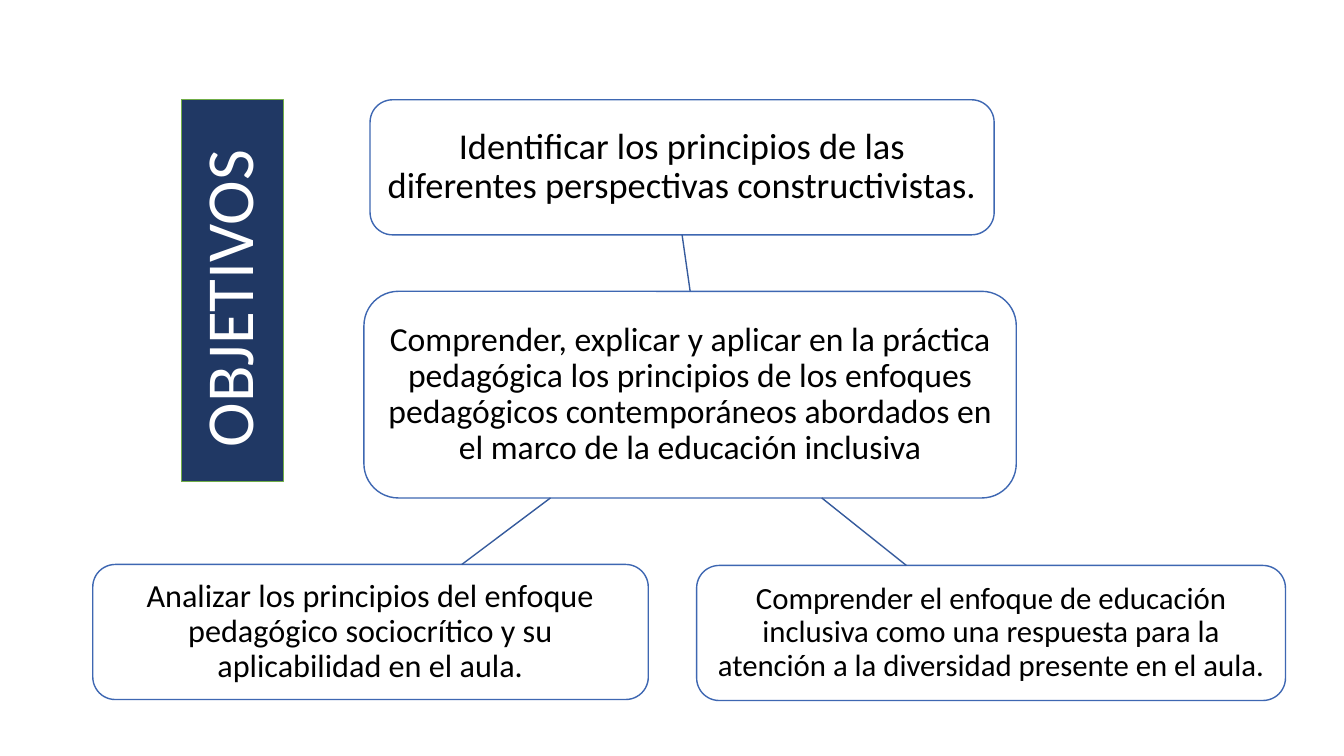
from lxml.etree import SubElement
from pptx import Presentation
from pptx.dml.color import RGBColor
from pptx.enum.shapes import MSO_CONNECTOR, MSO_SHAPE
from pptx.enum.text import MSO_ANCHOR, PP_ALIGN
from pptx.oxml.ns import qn
from pptx.util import Inches, Pt

HUES = {"white": "FFFFFF", "black": "000000", "edge": "3E67B2",
        "link": "365B9D", "navy": "203864", "green": "70AD47"}


class Board:
    def __init__(self, slide, font):
        self.slide = slide
        self.font = font

    def hue(self, name):
        return RGBColor.from_string(HUES[name])

    def outline(self, item, name, width):
        item.line.color.rgb = self.hue(name)
        item.line.width = Pt(width)

    def box(self, kind, at, text, size, fill, edge, ink, width=1, frame=None, para=None):
        shape = self.slide.shapes.add_shape(kind, *map(Inches, at))
        shape.shadow.inherit = False
        shape.fill.solid()
        shape.fill.fore_color.rgb = self.hue(fill)
        self.outline(shape, edge, width)
        body = shape.text_frame
        body.text = text
        line = body.paragraphs[0]
        looks = (
            (body, {"word_wrap": True, **(frame or {})}),
            (line, {"alignment": PP_ALIGN.CENTER, **(para or {})}),
            (line.runs[0].font, {"name": self.font, "size": Pt(size)}),
        )
        for part, look in looks:
            for key, value in look.items():
                setattr(part, key, value)
        line.runs[0].font.color.rgb = self.hue(ink)
        return shape

    def goal(self, at, text, size):
        pad = {f"margin_{side}": Inches(0.07) for side in ("left", "right", "top", "bottom")}
        return self.box(MSO_SHAPE.ROUNDED_RECTANGLE, at, text, size, "white", "edge", "black",
                        frame={"vertical_anchor": MSO_ANCHOR.MIDDLE, **pad},
                        para={"line_spacing": 0.9})

    def banner(self, at, text, size):
        shape = self.box(MSO_SHAPE.RECTANGLE, at, text, size, "navy", "green", "white", 0.5,
                         frame={"vertical_anchor": MSO_ANCHOR.TOP})
        shape.text_frame._txBody.bodyPr.set("vert", "vert270")

    def link(self, ends=(0, 0, 0, 0)):
        line = self.slide.shapes.add_connector(MSO_CONNECTOR.STRAIGHT, *map(Inches, ends))
        self.outline(line, "link", 1)
        SubElement(line._element.spPr, qn("a:effectLst"))
        return line


def main():
    deck = Presentation()
    deck.slide_width, deck.slide_height = Inches(13.33), Inches(7.5)
    board = Board(deck.slides.add_slide(deck.slide_layouts[6]), "Calibri")

    # Goals
    core = board.goal(
        (3.61, 2.89, 6.47, 2.05),
        "Comprender, explicar y aplicar en la práctica pedagógica los principios de los "
        "enfoques pedagógicos contemporáneos abordados en el marco de la educación inclusiva", 24)
    top = board.goal(
        (3.67, 0.99, 6.19, 1.34),
        "Identificar los principios de las diferentes perspectivas constructivistas.", 26)
    board.goal(
        (6.91, 5.61, 5.84, 1.34),
        "Comprender el enfoque de educación inclusiva como una respuesta para la "
        "atención a la diversidad presente en el aula.", 22)
    board.goal(
        (0.92, 5.6, 5.51, 1.34),
        "Analizar los principios del enfoque pedagógico sociocrítico y su "
        "aplicabilidad en el aula.", 23)

    # Links from the core goal
    stem = board.link()
    stem.begin_connect(core, 0)
    stem.end_connect(top, 2)
    for ends in ((8.15, 4.94, 8.99, 5.61), (5.46, 4.94, 4.58, 5.6)):
        board.link(ends)

    # Title banner
    board.banner((1.8, 0.99, 1.01, 3.79), "OBJETIVOS ", 48)

    deck.save("out.pptx")


if __name__ == "__main__":
    main()
